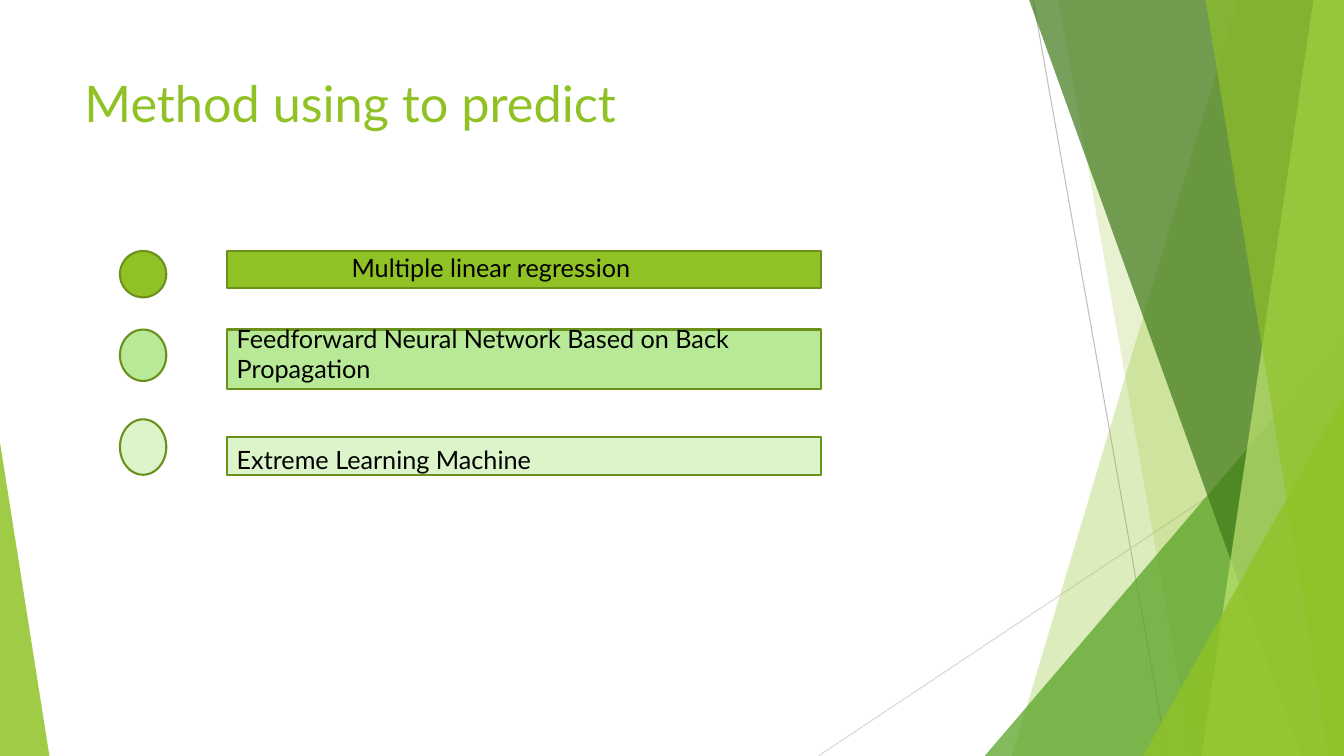
import pptx
import pptx.util
import pptx.dml.color
import pptx.enum.shapes
import pptx.enum.text
import pptx.oxml.ns
import lxml.etree

Pt = pptx.util.Pt
Kind = pptx.enum.shapes.MSO_SHAPE
WIDE, HIGH = 960, 540
GREEN, EDGE, BLACK = "90C226", "6B901C", "000000"


class Deck:
    font = "Lato"

    def __init__(self):
        self.show = pptx.Presentation()
        self.show.slide_width = Pt(WIDE)
        self.show.slide_height = Pt(HIGH)
        self.slide = self.show.slides.add_slide(self.show.slide_layouts[6])

    def paint(self, item, color, alpha=100):
        if hasattr(item, "solid"):
            item.solid()
            item = item.fore_color
        elif hasattr(item, "color"):
            item = item.color
        item.rgb = pptx.dml.color.RGBColor.from_string(color)
        if alpha < 100:
            tag = item._xFill.find(pptx.oxml.ns.qn("a:srgbClr"))
            lxml.etree.SubElement(tag, pptx.oxml.ns.qn("a:alpha"), val=str(alpha * 1000))

    def style(self, shape, color, alpha=100, edge=None):
        shape.shadow.inherit = False
        self.paint(shape.fill, color, alpha)
        if edge:
            self.paint(shape.line, edge)
            shape.line.width = Pt(1.5)
        else:
            shape.line.fill.background()

    def line(self, start, end, color):
        ends = [Pt(n) for n in (*start, *end)]
        line = self.slide.shapes.add_connector(
            pptx.enum.shapes.MSO_CONNECTOR.STRAIGHT, *ends)
        self.paint(line.line, color)
        line.line.width = Pt(0.75)
        lxml.etree.SubElement(line._element.spPr, pptx.oxml.ns.qn("a:effectLst"))

    def band(self, top, base, color, alpha):
        pen = self.slide.shapes.build_freeform(Pt(top), 0)
        pen.add_line_segments(
            [(Pt(WIDE), 0), (Pt(WIDE), Pt(HIGH)), (Pt(base), Pt(HIGH))], close=True)
        self.style(pen.convert_to_shape(), color, alpha)

    def shape(self, kind, box, color, alpha=100, edge=None, peak=None):
        shape = self.slide.shapes.add_shape(kind, *[Pt(n) for n in box])
        if peak is not None:
            shape.adjustments[0] = peak
        self.style(shape, color, alpha, edge)

    def text(self, box, lines, size, color, gap=0):
        frame = self.slide.shapes.add_textbox(*[Pt(n) for n in box]).text_frame
        frame.word_wrap = True
        frame.vertical_anchor = pptx.enum.text.MSO_ANCHOR.TOP
        for i, words in enumerate(lines):
            para = frame.add_paragraph() if i else frame.paragraphs[0]
            if i:
                para.space_before = Pt(gap)
            run = para.add_run()
            run.text = words
            run.font.name = self.font
            run.font.size = Pt(size)
            self.paint(run.font, color)


def main():
    deck = Deck()
    deck.line((738, 0), (833.8, HIGH), "BFBFBF")
    deck.line((WIDE, 290.2), (584.6, HIGH), "D9D9D9")

    def wedge(left, top, width, color, alpha, peak=1):
        box = (left, top, width, HIGH - top)
        deck.shape(Kind.ISOSCELES_TRIANGLE, box, color, alpha, peak=peak)

    deck.band(884.2, 722.9, GREEN, 30)
    deck.band(756, 851.8, GREEN, 20)
    wedge(703.4, 239.8, 256.6, "54A021", 72)
    deck.band(735.1, 929.5, "3F7819", 70)
    deck.band(938.2, 858.2, "C0E474", 70)
    deck.band(861.1, 949, GREEN, 65)
    wedge(816.5, 283, 143.5, GREEN, 80)
    wedge(0, 316.1, 35.3, GREEN, 85, peak=0)

    deck.text((53.3, 48.2, 676.8, 103.7), ["Method using to predict"], 36, GREEN)

    rows = [
        (GREEN, 179.3, 26.6, 179.3, 33.1),
        ("B7E996", 235.4, 42.5, 235.4, 36.7),
        ("DBF4CA", 312.5, 26.6, 299.5, 39.6),
    ]
    for color, top, height, dot_top, dot_height in rows:
        deck.shape(Kind.RECTANGLE, (162, top, 424.8, height), color, edge=EDGE)
        deck.shape(Kind.OVAL, (85.7, dot_top, 33.1, dot_height), color, edge=EDGE)

    deck.text((244.1, 176.4, 335.5, 28.8), ["Multiple linear regression"], 18, BLACK)
    deck.text((162, 227.5, 389.5, 116.6),
              ["Feedforward Neural Network Based on Back Propagation",
               "Extreme Learning Machine"], 18, BLACK, gap=43.2)
    deck.show.save("out.pptx")


if __name__ == "__main__":
    main()
